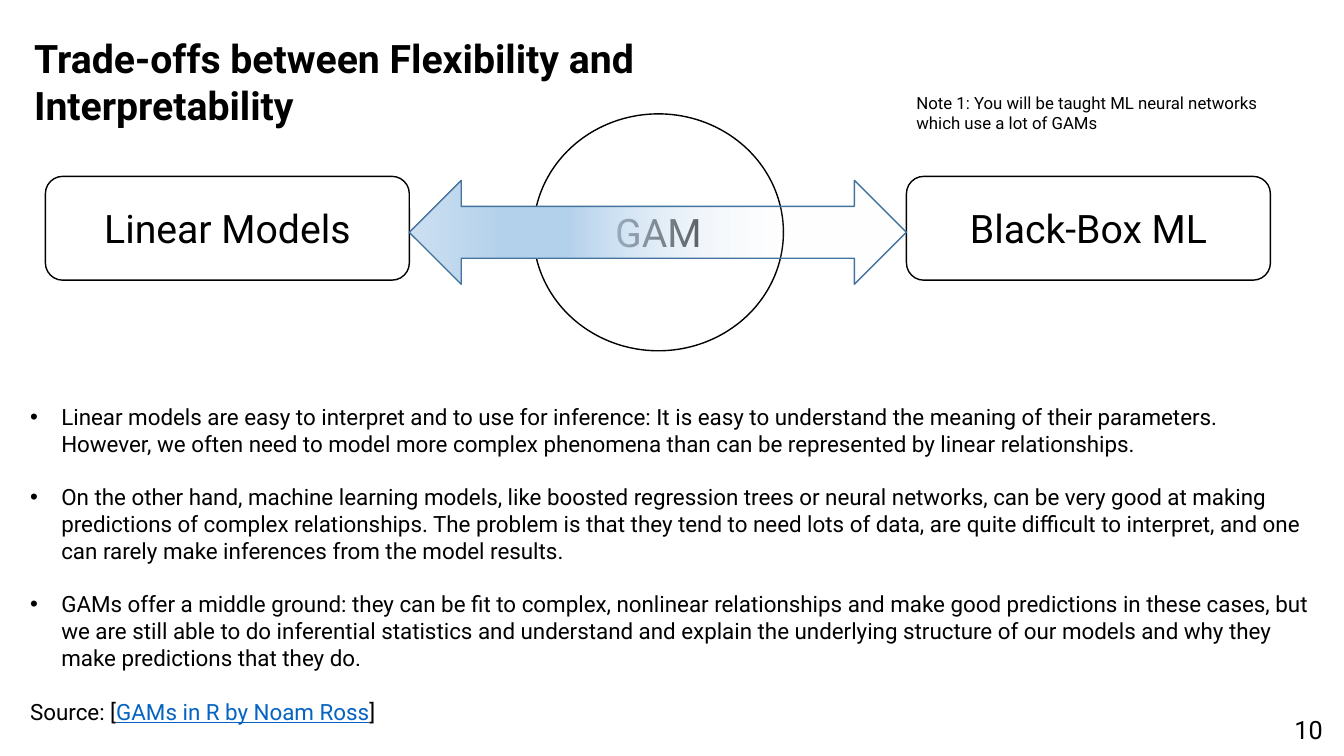
from dataclasses import dataclass

from lxml.etree import SubElement
from pptx import Presentation
from pptx.dml.color import RGBColor as RGB
from pptx.enum.shapes import MSO_SHAPE as SHAPE
from pptx.enum.text import MSO_ANCHOR as ANCHOR, PP_ALIGN as ALIGN
from pptx.oxml.ns import qn
from pptx.util import Inches, Pt

COLORS = {
    "text": "000000",
    "link": "0563C1",
    "arrow_line": "43739E",
    "arrow_clear": "F7FAFD",
    "arrow_mid": "B5D2EC",
    "arrow_end": "CEE1F2",
}
FONT = "Roboto"
BULLET_INDENT = Inches(0.31)


@dataclass
class Node:
    kind: SHAPE
    text: str
    box: tuple[float, float, float, float]


@dataclass
class Label:
    text: str
    box: tuple[float, float, float, float]
    size: int
    bold: bool = False


@dataclass
class Stop:
    pos: int
    color: str
    alpha: int = 100


NODES = [
    Node(SHAPE.ROUNDED_RECTANGLE, "Linear Models", (0.45, 1.75, 3.61, 1.03)),
    Node(SHAPE.ROUNDED_RECTANGLE, "Black-Box ML", (8.99, 1.75, 3.61, 1.03)),
    Node(SHAPE.OVAL, "GAM", (5.29, 1.13, 2.48, 2.35)),
]
LABELS = [
    Label("10", (12.74, 7.04, 0.59, 0.16), 18),
    Label("Trade-offs between Flexibility and Interpretability",
          (0.24, 0.29, 8.29, 0.57), 28, True),
    Label("Note 1: You will be taught ML neural networks which use a lot of GAMs",
          (8.99, 0.87, 3.61, 0.5), 12),
]
ARROW_STOPS = [
    Stop(23, "arrow_clear", 1),
    Stop(68, "arrow_mid"),
    Stop(82, "arrow_mid"),
    Stop(100, "arrow_end"),
]
BULLETS = [
    "Linear models are easy to interpret and to use for inference: It is easy to "
    "understand the meaning of their parameters. However, we often need to model more "
    "complex phenomena than can be represented by linear relationships.",
    "On the other hand, machine learning models, like boosted regression trees or neural "
    "networks, can be very good at making predictions of complex relationships. The "
    "problem is that they tend to need lots of data, are quite difficult to interpret, "
    "and one can rarely make inferences from the model results.",
    "GAMs offer a middle ground: they can be fit to complex, nonlinear relationships and "
    "make good predictions in these cases, but we are still able to do inferential "
    "statistics and understand and explain the underlying structure of our models and "
    "why they make predictions that they do.",
]
SOURCE = [("Source: [", False), ("GAMs in R by Noam Ross", True), ("]", False)]


def add_text(p, text: str, *, size: int, color: str = "text",
             bold: bool = False, underline: bool = False) -> None:
    r = p.add_run()
    r.text = text
    f = r.font
    f.name, f.size, f.bold, f.underline = FONT, Pt(size), bold, underline
    f.color.rgb = RGB.from_string(COLORS[color])


def add_frame(slide, box: tuple[float, float, float, float]):
    tf = slide.shapes.add_textbox(*map(Inches, box)).text_frame
    tf.word_wrap = True
    return tf


def add_outline(slide, kind: SHAPE, box: tuple[float, float, float, float], line: str):
    sp = slide.shapes.add_shape(kind, *map(Inches, box))
    sp.shadow.inherit = False
    sp.fill.background()
    sp.line.color.rgb = RGB.from_string(COLORS[line])
    sp.line.width = Pt(1)
    return sp


def add_node(slide, node: Node) -> None:
    tf = add_outline(slide, node.kind, node.box, "text").text_frame
    tf.word_wrap = True
    tf.vertical_anchor = ANCHOR.MIDDLE
    p = tf.paragraphs[0]
    p.alignment = ALIGN.CENTER
    add_text(p, node.text, size=28)


def add_arrow(slide) -> None:
    sp = add_outline(slide, SHAPE.LEFT_RIGHT_ARROW, (4.06, 1.79, 4.93, 1.03), "arrow_line")
    sp.fill.gradient()
    sp.fill.gradient_angle = 180
    stops = sp._element.spPr.find(qn("a:gradFill")).find(qn("a:gsLst"))
    for old in list(stops):
        stops.remove(old)
    for stop in ARROW_STOPS:
        gs = SubElement(stops, qn("a:gs"), pos=str(stop.pos * 1000))
        clr = SubElement(gs, qn("a:srgbClr"), val=COLORS[stop.color])
        if stop.alpha < 100:
            SubElement(clr, qn("a:alpha"), val=str(stop.alpha * 1000))


def add_body(slide) -> None:
    tf = add_frame(slide, (0.2, 3.95, 12.92, 3.33))
    p = tf.paragraphs[0]
    for text in BULLETS:
        add_text(p, text, size=16)
        p.space_after = Pt(19)
        pPr = p._p.get_or_add_pPr()
        pPr.set("marL", str(BULLET_INDENT))
        pPr.set("indent", str(-BULLET_INDENT))
        SubElement(pPr, qn("a:buFont"), typeface="Arial")
        SubElement(pPr, qn("a:buChar"), char="•")
        p = tf.add_paragraph()
    for text, linked in SOURCE:
        add_text(p, text, size=16, color="link" if linked else "text", underline=linked)


def main() -> None:
    prs = Presentation()
    prs.slide_width, prs.slide_height = Inches(13.33), Inches(7.5)
    slide = prs.slides.add_slide(prs.slide_layouts[6])
    for label in LABELS:
        p = add_frame(slide, label.box).paragraphs[0]
        add_text(p, label.text, size=label.size, bold=label.bold)
    for node in NODES:
        add_node(slide, node)
    add_arrow(slide)
    add_body(slide)
    prs.save("out.pptx")


if __name__ == "__main__":
    main()
